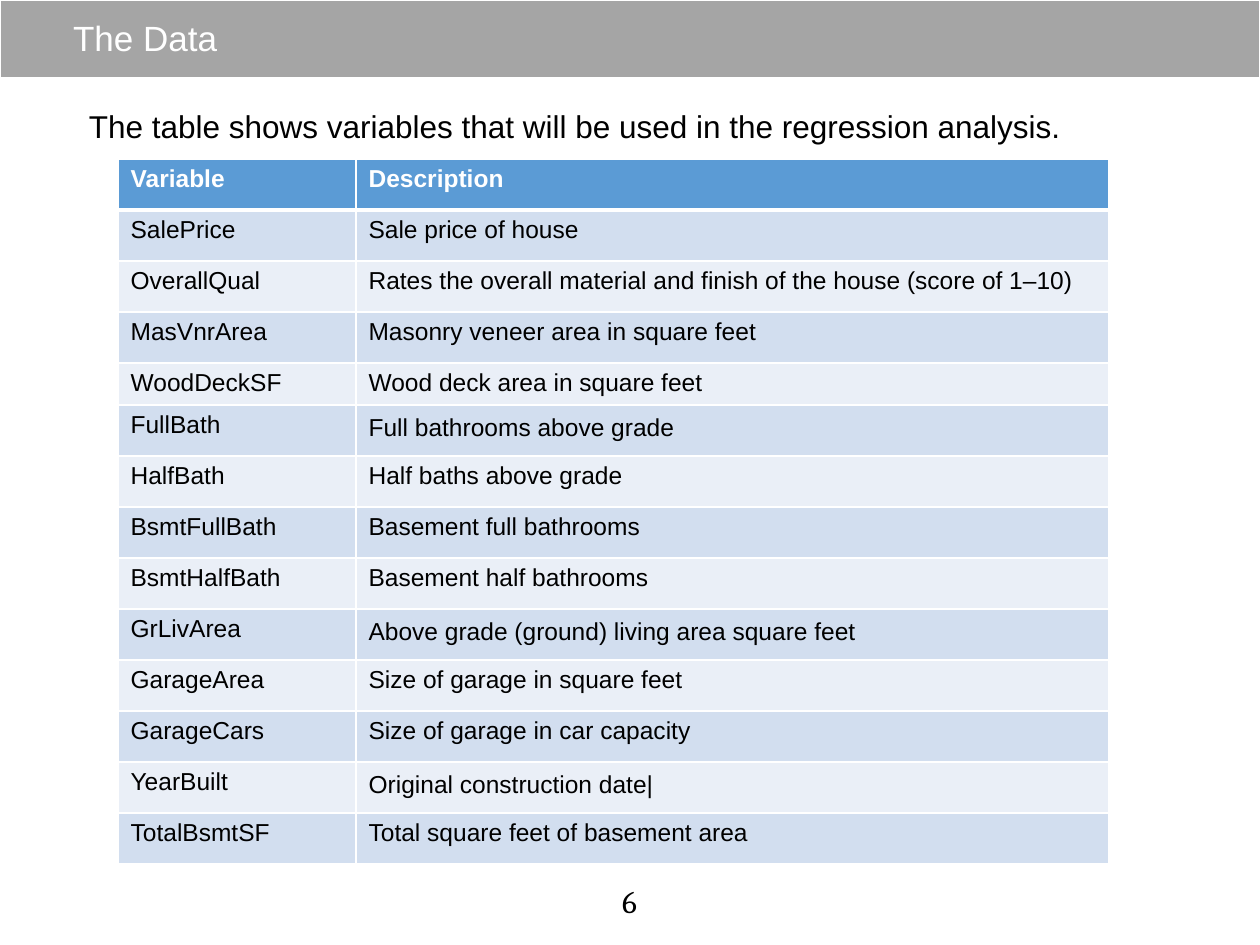
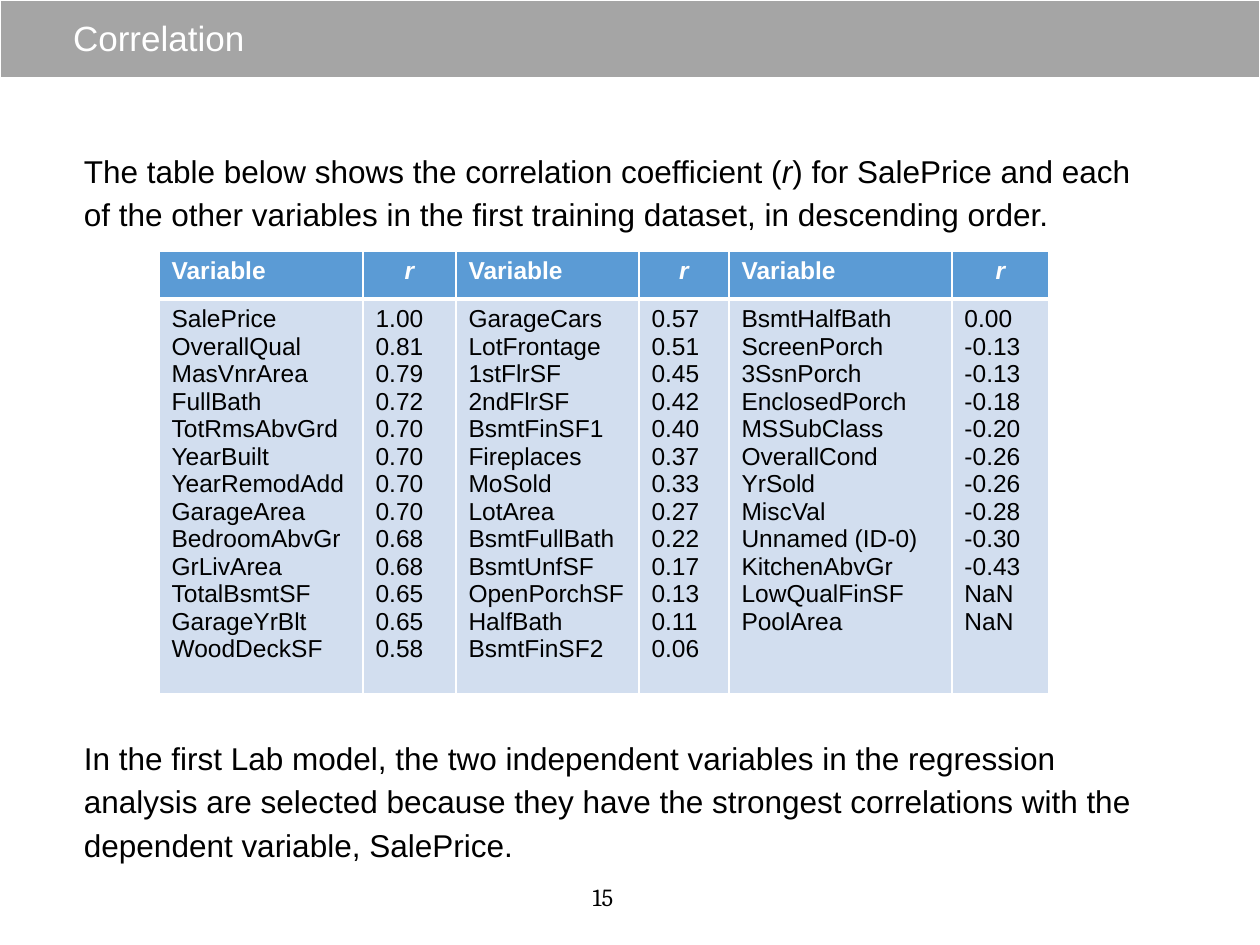
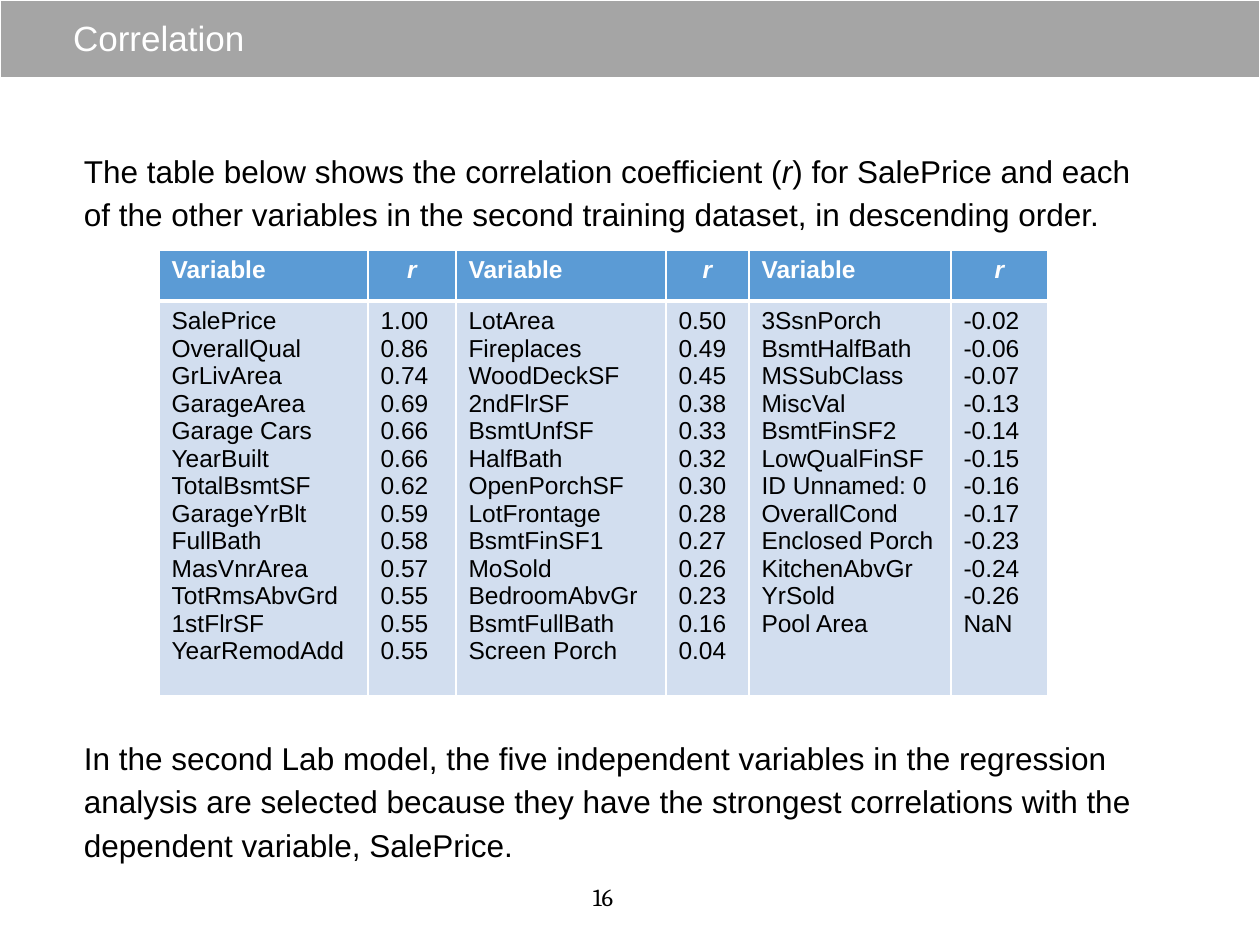
from dataclasses import dataclass, replace

from lxml.etree import SubElement
from pptx import Presentation
from pptx.dml.color import RGBColor
from pptx.enum.shapes import MSO_SHAPE
from pptx.enum.text import MSO_ANCHOR, PP_ALIGN
from pptx.oxml.ns import qn
from pptx.util import Emu, Pt

# Colours
WHITE = RGBColor(0xFF, 0xFF, 0xFF)
BLACK = RGBColor(0x00, 0x00, 0x00)
GRAY = RGBColor(0xA5, 0xA5, 0xA5)
BLUE = RGBColor(0x5B, 0x9B, 0xD5)
BANDS = (RGBColor(0xD2, 0xDE, 0xEF), RGBColor(0xEA, 0xEF, 0xF7))

# Page size and scale
WIDTH, HEIGHT = 1260, 945
DPI = 126


def px(size: int) -> Emu:
    return Emu(round(size * 914400 / DPI))


@dataclass(frozen=True)
class Style:
    size: int
    color: RGBColor = BLACK
    font: str = "Arial"
    bold: bool = False
    ital: bool = False
    align: PP_ALIGN = PP_ALIGN.LEFT
    pitch: float = 1.0


@dataclass(frozen=True)
class Box:
    left: int
    top: int
    width: int
    height: int


@dataclass(frozen=True)
class Grid:
    left: int
    top: int
    cols: list[int]
    rows: list[int]
    cells: list[list[str]]
    loose: tuple[int, ...] = ()  # rows whose last cell has wider line spacing


@dataclass(frozen=True)
class Page:
    title: str
    body: Box
    paras: list[str]
    grid: Grid
    number: str
    foot: Box
    foot_size: int


# Text styles
TITLE = Style(20, WHITE, pitch=0.9)
BODY = Style(18, pitch=1.15)
HEAD = Style(14, WHITE, bold=True)
HEAD_R = replace(HEAD, ital=True, align=PP_ALIGN.CENTER)
CELL = Style(14)
LOOSE = replace(CELL, pitch=1.1)
GAP = 286  # points left for the table between two body paragraphs


def write(frame, lines: list[str], style: Style, gap: int = 0) -> None:
    """Fill a text frame, one paragraph a line; *stars* mark italics."""
    for i, line in enumerate(lines):
        para = frame.add_paragraph() if i else frame.paragraphs[0]
        para.alignment = style.align
        para.line_spacing = style.pitch
        para.space_before = Pt(gap if i else 0)
        font = para.font
        font.name, font.size = style.font, Pt(style.size)
        font.bold, font.italic = style.bold, style.ital
        font.color.rgb = style.color
        for j, part in enumerate(line.split("*")):
            run = para.add_run()
            run.text = part
            if j % 2:
                run.font.italic = True


def add_text(slide, box: Box, lines: list[str], style: Style,
             anchor: MSO_ANCHOR = MSO_ANCHOR.TOP, gap: int = 0) -> None:
    shape = slide.shapes.add_textbox(
        px(box.left), px(box.top), px(box.width), px(box.height))
    frame = shape.text_frame
    frame.word_wrap = True
    frame.vertical_anchor = anchor
    frame.margin_left = frame.margin_right = px(6)
    frame.margin_top = frame.margin_bottom = px(6)
    write(frame, lines, style, gap)


def add_band(slide) -> None:
    band = slide.shapes.add_shape(MSO_SHAPE.RECTANGLE, 0, 0, px(WIDTH), px(78))
    band.shadow.inherit = False
    band.fill.solid()
    band.fill.fore_color.rgb = GRAY
    band.line.color.rgb = WHITE
    band.line.width = Pt(1.5)


def edge(cell, side: str, width: float) -> None:
    line = SubElement(cell._tc.get_or_add_tcPr(), qn(f"a:ln{side}"),
                      w=str(Pt(width)))
    fill = SubElement(line, qn("a:solidFill"))
    SubElement(fill, qn("a:srgbClr"), val=str(WHITE))


def add_grid(slide, grid: Grid) -> None:
    table = slide.shapes.add_table(
        len(grid.rows), len(grid.cols), px(grid.left), px(grid.top),
        px(sum(grid.cols)), px(sum(grid.rows))).table
    for col, width in zip(table.columns, grid.cols):
        col.width = px(width)
    for row, height in zip(table.rows, grid.rows):
        row.height = px(height)
    for r, texts in enumerate(grid.cells):
        for c, text in enumerate(texts):
            cell = table.cell(r, c)
            for side in "LRTB":
                heavy = (r, side) in ((0, "B"), (1, "T"))
                edge(cell, side, 3 if heavy else 1)
            cell.fill.solid()
            cell.fill.fore_color.rgb = BANDS[(r - 1) % 2] if r else BLUE
            if r == 0:
                style = HEAD_R if text == "r" else HEAD
            else:
                style = LOOSE if r in grid.loose and c else CELL
            write(cell.text_frame, text.split("\n"), style)


def add_page(deck, page: Page) -> None:
    slide = deck.slides.add_slide(deck.slide_layouts[6])
    add_band(slide)
    add_text(slide, Box(67, 3, 966, 74), [page.title], TITLE, MSO_ANCHOR.MIDDLE)
    add_text(slide, page.body, page.paras, BODY, gap=GAP)
    add_grid(slide, page.grid)
    foot = Style(page.foot_size, font="Cambria", align=PP_ALIGN.CENTER)
    add_text(slide, page.foot, [page.number], foot)


def stack(text: str) -> str:
    """Put each comma-separated entry on its own line."""
    return "\n".join(text.split(", "))


def r_page(nth: str, count: str, number: str, top: int, cols: list[int],
           rows: list[int], lists: list[str]) -> Page:
    """A correlation page for one training dataset."""
    return Page(
        "Correlation", Box(78, 140, 1086, 738),
        ["The table below shows the correlation coefficient (*r*) for SalePrice "
         f"and each of the other variables in the {nth} training dataset, in "
         "descending order.",
         f"In the {nth} Lab model, the {count} independent variables in the "
         "regression analysis are selected because they have the strongest "
         "correlations with the dependent variable, SalePrice."],
        Grid(159, top, cols, rows,
             [["Variable", "r"] * 3, [stack(text) for text in lists]]),
        number, Box(576, 876, 54, 43), 14)


# Content
FIELDS = [
    ["Variable", "Description"],
    ["SalePrice", "Sale price of house"],
    ["OverallQual",
     "Rates the overall material and finish of the house (score of 1–10)"],
    ["MasVnrArea", "Masonry veneer area in square feet"],
    ["WoodDeckSF", "Wood deck area in square feet"],
    ["FullBath", "Full bathrooms above grade"],
    ["HalfBath", "Half baths above grade"],
    ["BsmtFullBath", "Basement full bathrooms"],
    ["BsmtHalfBath", "Basement half bathrooms"],
    ["GrLivArea", "Above grade (ground) living area square feet"],
    ["GarageArea", "Size of garage in square feet"],
    ["GarageCars", "Size of garage in car capacity"],
    ["YearBuilt", "Original construction date|"],
    ["TotalBsmtSF", "Total square feet of basement area"],
]

FIRST = [
    "SalePrice, OverallQual, MasVnrArea, FullBath, TotRmsAbvGrd, YearBuilt, "
    "YearRemodAdd, GarageArea, BedroomAbvGr, GrLivArea, TotalBsmtSF, "
    "GarageYrBlt, WoodDeckSF",
    "1.00, 0.81, 0.79, 0.72, 0.70, 0.70, 0.70, 0.70, 0.68, 0.68, 0.65, 0.65, 0.58",
    "GarageCars, LotFrontage, 1stFlrSF, 2ndFlrSF, BsmtFinSF1, Fireplaces, "
    "MoSold, LotArea, BsmtFullBath, BsmtUnfSF, OpenPorchSF, HalfBath, BsmtFinSF2",
    "0.57, 0.51, 0.45, 0.42, 0.40, 0.37, 0.33, 0.27, 0.22, 0.17, 0.13, 0.11, 0.06",
    "BsmtHalfBath, ScreenPorch, 3SsnPorch, EnclosedPorch, MSSubClass, "
    "OverallCond, YrSold, MiscVal, Unnamed (ID-0), KitchenAbvGr, "
    "LowQualFinSF, PoolArea",
    "0.00, -0.13, -0.13, -0.18, -0.20, -0.26, -0.26, -0.28, -0.30, -0.43, NaN, NaN",
]

SECOND = [
    "SalePrice, OverallQual, GrLivArea, GarageArea, Garage Cars, YearBuilt, "
    "TotalBsmtSF, GarageYrBlt, FullBath, MasVnrArea, TotRmsAbvGrd, 1stFlrSF, "
    "YearRemodAdd",
    "1.00, 0.86, 0.74, 0.69, 0.66, 0.66, 0.62, 0.59, 0.58, 0.57, 0.55, 0.55, 0.55",
    "LotArea, Fireplaces, WoodDeckSF, 2ndFlrSF, BsmtUnfSF, HalfBath, "
    "OpenPorchSF, LotFrontage, BsmtFinSF1, MoSold, BedroomAbvGr, "
    "BsmtFullBath, Screen Porch",
    "0.50, 0.49, 0.45, 0.38, 0.33, 0.32, 0.30, 0.28, 0.27, 0.26, 0.23, 0.16, 0.04",
    "3SsnPorch, BsmtHalfBath, MSSubClass, MiscVal, BsmtFinSF2, LowQualFinSF, "
    "ID Unnamed: 0, OverallCond, Enclosed Porch, KitchenAbvGr, YrSold, Pool Area",
    "-0.02, -0.06, -0.07, -0.13, -0.14, -0.15, -0.16, -0.17, -0.23, -0.24, "
    "-0.26, NaN",
]

PAGES = [
    Page("The Data", Box(83, 95, 1072, 67),
         ["The table shows variables that will be used in the regression "
          "analysis."],
         Grid(118, 159, [238, 753], [51] * 4 + [40] + [51] * 9, FIELDS,
              loose=(5, 9, 12)),
         "6", Box(614, 876, 31, 49), 18),
    r_page("first", "two", "15", 251, [204, 93, 183, 90, 223, 97],
           [48, 394], FIRST),
    r_page("second", "five", "16", 250, [209, 88, 210, 83, 202, 97],
           [51, 370], SECOND),
]


def main() -> None:
    deck = Presentation()
    deck.slide_width, deck.slide_height = px(WIDTH), px(HEIGHT)
    for page in PAGES:
        add_page(deck, page)
    deck.save("out.pptx")


if __name__ == "__main__":
    main()
